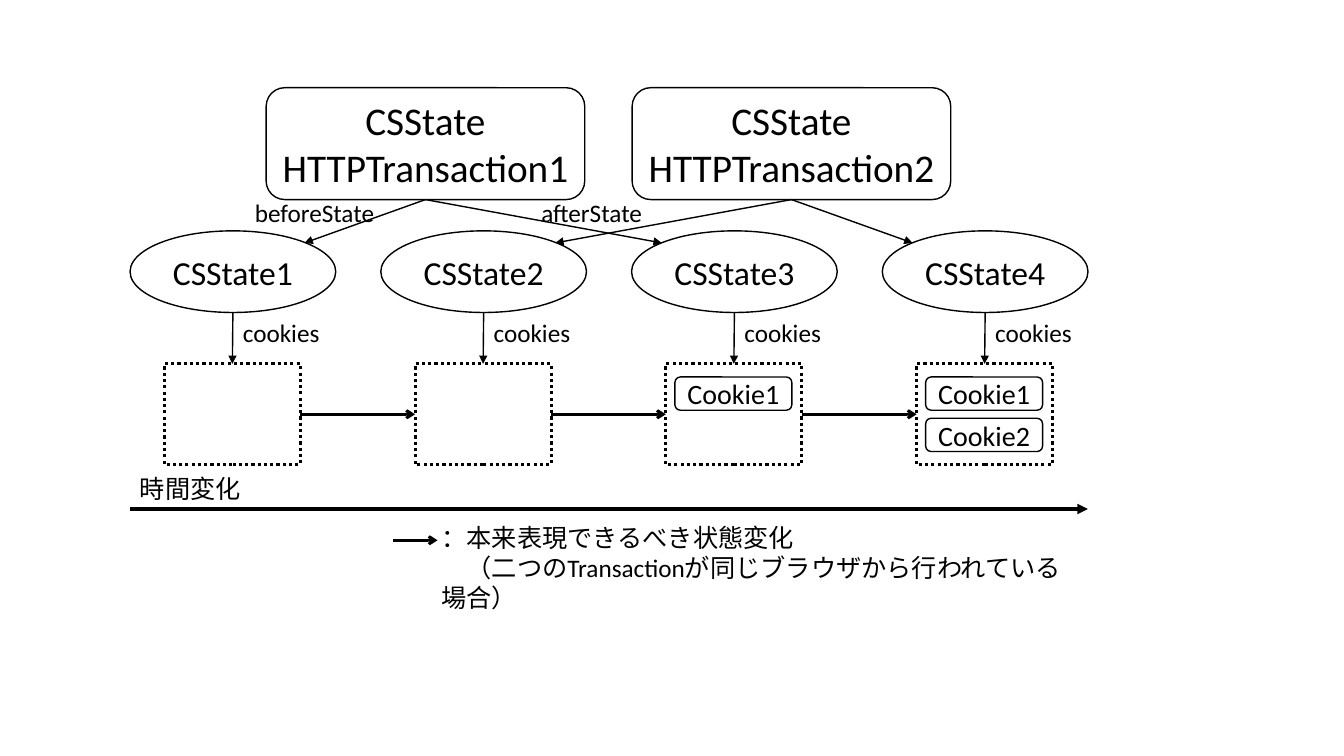
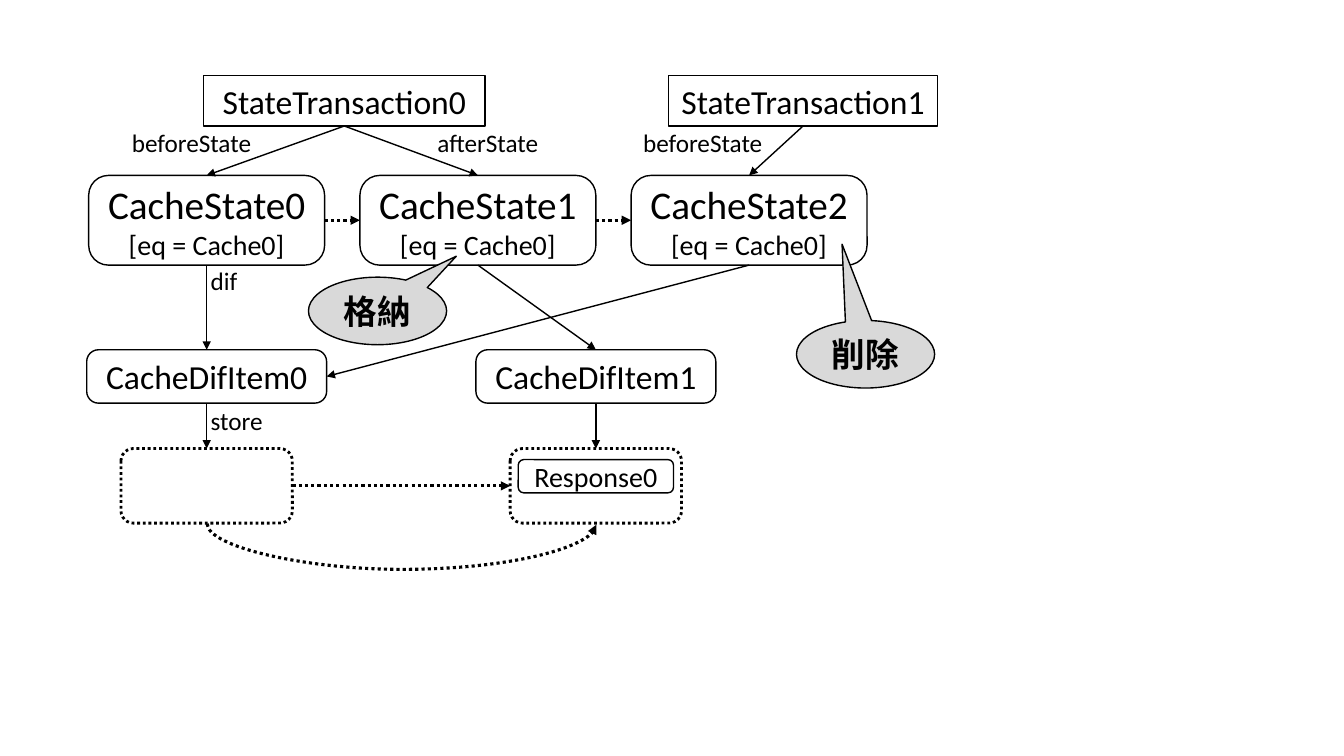
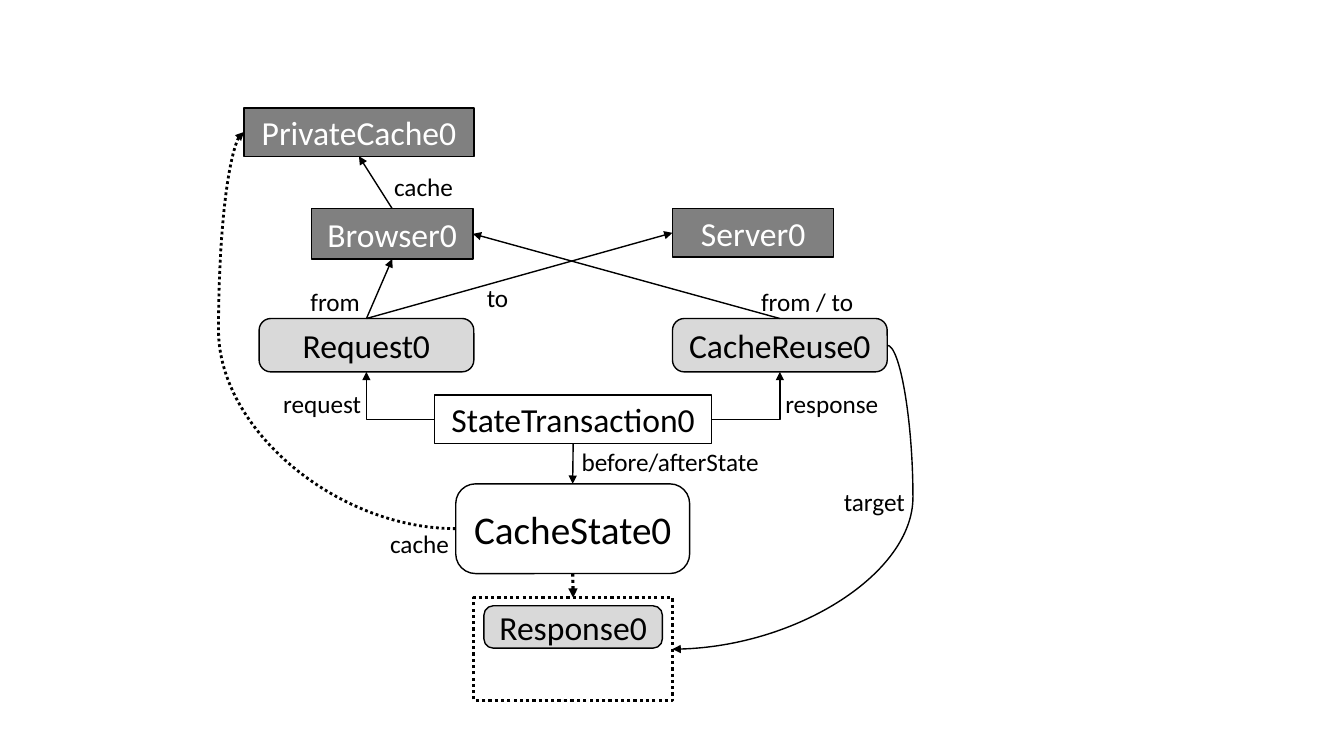
from lxml.etree import SubElement
from pptx import Presentation
from pptx.dml.color import RGBColor as Rgb
from pptx.enum.dml import MSO_LINE as Dash
from pptx.enum.shapes import MSO_CONNECTOR as Path, MSO_SHAPE as Kind
from pptx.enum.text import MSO_ANCHOR as Anchor, MSO_AUTO_SIZE as Auto, PP_ALIGN as Align
from pptx.oxml.ns import qn
from pptx.util import Inches as In, Pt

INK = {"black": "000000", "white": "FFFFFF", "pale": "D9D9D9", "gray": "808080"}
FONT = "Calibri"
RECT, ROUND, OVAL = Kind.RECTANGLE, Kind.ROUNDED_RECTANGLE, Kind.OVAL
TOP, LEFT, FOOT, RIGHT = range(4)
SOFT = [0.22]  # corner of the rounded boxes


def node(sl, box, text="", kind=None, size=18, sub=None, ink="black", fill=None,
         edge="black", line=1, dots=False, adj=(), bold=False, wrap=False):
    """Draw a shape with centred text, or a plain label when no kind is given."""
    spot = [In(v) for v in box]
    if kind is None:
        item = sl.shapes.add_textbox(*spot)
    else:
        item = sl.shapes.add_shape(kind, *spot)
        item.shadow.inherit = False
        for i, val in enumerate(adj):
            item.adjustments[i] = val
        if fill:
            item.fill.solid()
            item.fill.fore_color.rgb = Rgb.from_string(INK[fill])
        else:
            item.fill.background()
        item.line.color.rgb = Rgb.from_string(INK[edge])
        item.line.width = Pt(line)
        if dots:
            item.line.dash_style = Dash.ROUND_DOT
    if text:
        frame = item.text_frame
        frame.word_wrap = wrap or kind is not None
        if kind is None:
            frame.auto_size = Auto.SHAPE_TO_FIT_TEXT
        else:
            frame.vertical_anchor = Anchor.MIDDLE
        for i, part in enumerate(text.split("\n")):
            para = frame.add_paragraph() if i else frame.paragraphs[0]
            para.alignment = Align.CENTER if kind is not None else Align.LEFT
            run = para.add_run()
            run.text = part
            run.font.name, run.font.bold = FONT, bold
            run.font.size = Pt(sub if sub and i else size)
            run.font.color.rgb = Rgb.from_string(INK[ink])
    return item


def link(sl, start, end, kind=Path.STRAIGHT, line=1, dots=False, head="triangle",
         form=None, adj=None):
    """Join two ends, each a point (x, y) or a pair (shape, side)."""
    wire = sl.shapes.add_connector(kind, 0, 0, 0, 0)
    if isinstance(start[0], (int, float)):
        wire.begin_x, wire.begin_y = In(start[0]), In(start[1])
    else:
        wire.begin_connect(*start)
    if isinstance(end[0], (int, float)):
        wire.end_x, wire.end_y = In(end[0]), In(end[1])
    else:
        wire.end_connect(*end)
    wire.line.color.rgb = Rgb.from_string(INK["black"])
    wire.line.width = Pt(line)
    if dots:
        wire.line.dash_style = Dash.ROUND_DOT
    props = wire._element.spPr
    SubElement(props.find(qn("a:ln")), qn("a:tailEnd")).set("type", head)
    SubElement(props, qn("a:effectLst"))
    geom = props.find(qn("a:prstGeom"))
    if form:
        geom.set("prst", form)
    if adj is not None:
        guide = SubElement(geom.find(qn("a:avLst")), qn("a:gd"))
        guide.set("name", "adj1")
        guide.set("fmla", f"val {round(adj * 100000)}")
    return wire


# Deck, with a white panel on each slide
deck = Presentation()
deck.slide_width, deck.slide_height = In(13.33), In(7.5)
panels = [(1.29, 0.87, 9.5, 4.97), (0.86, 0.75, 8.44, 4.93), (2.14, 1.07, 6.95, 5.88)]
pages = []
for panel in panels:
    page = deck.slides.add_slide(deck.slide_layouts[6])
    node(page, panel, kind=RECT, fill="white", edge="white")
    pages.append(page)

# Slide 1: cookies over time
sl = pages[0]
cols = [1.29 + 2.487 * i for i in range(4)]
row, deep, wide = 2.29, 0.81, 2.04

# Transactions, each with the state before and after it
for i, x in enumerate([2.64, 6.27]):
    deal = node(sl, (x, 0.87, 3.16, 1.11), f"CSState\nHTTPTransaction{i + 1}",
                kind=ROUND, size=28)
    link(sl, (deal, FOOT), (cols[i] + (1.73 if i else 1.73), 2.41))
    link(sl, (deal, FOOT), (cols[i + 2] + 0.3, 2.41))
node(sl, (2.43, 1.91, 1.4, 0.4), "beforeState")
node(sl, (5.27, 1.91, 1.22, 0.4), "afterState")

# States and their cookie boxes
jars = []
for i, x in enumerate(cols):
    mid = x + wide / 2
    node(sl, (x, row, wide, deep), f"CSState{i + 1}", kind=OVAL, size=24)
    jar = node(sl, (x + 0.34, 3.61, 1.35, 1), kind=RECT, line=2.25, dots=True)
    link(sl, (mid, row + deep), (jar, TOP))
    node(sl, (mid, 3.1, 0.99, 0.4), "cookies")
    for k in range(max(0, i - 1)):
        node(sl, (x + 0.43, 3.74 + 0.41 * k, 1.16, 0.33), f"Cookie{k + 1}",
             kind=ROUND, size=20)
    jars.append(jar)
for old, new in zip(jars, jars[1:]):
    link(sl, (old, RIGHT), (new, LEFT), line=2, head="arrow")

# Time axis and legend
link(sl, (1.29, 5.05), (10.79, 5.05), line=2.5)
node(sl, (1.29, 4.65, 1.2, 0.4), "時間変化")
link(sl, (3.9, 5.36), (4.34, 5.36), line=2, head="arrow")
key = node(sl, (4.28, 5.13, 6.51, 0.71),
           "：本来表現できるべき状態変化\n（二つのTransactionが同じブラウザから行われている場合）",
           wrap=True)
key.text_frame.paragraphs[1]._p.get_or_add_pPr().set("indent", str(In(0.25)))

# Slide 2: cache states and their differences
sl = pages[1]
deals = [node(sl, (x, 0.75, w, 0.5), f"StateTransaction{i}", kind=RECT, size=24)
         for i, (x, w) in enumerate([(2.02, 2.79), (6.63, 2.67)])]
states = [node(sl, (0.88 + 2.69 * i, 1.74, 2.34, 0.89),
               f"CacheState{i}\n[eq = Cache0]", kind=ROUND, size=28, sub=20, adj=SOFT)
          for i in range(3)]
for deal, state in zip([deals[0], deals[0], deals[1]], states):
    link(sl, (deal, FOOT), (state, TOP))
for old, new in zip(states, states[1:]):
    link(sl, (old, RIGHT), (new, LEFT), line=2.25, dots=True)

# Difference items with their stores
diffs, stores = [], []
for i in range(2):
    x = 0.86 + 3.86 * i
    diff = node(sl, (x, 3.47, 2.38, 0.53), f"CacheDifItem{i}", kind=ROUND,
                size=24, adj=SOFT)
    store = node(sl, (x + 0.34, 4.45, 1.7, 0.74), kind=ROUND, line=2, dots=True)
    link(sl, (states[i], FOOT), (diff, TOP))
    link(sl, (diff, FOOT), (store, TOP))
    diffs.append(diff)
    stores.append(store)
node(sl, (5.14, 4.56, 1.54, 0.33), "Response0", kind=ROUND, size=20)
link(sl, (states[2], FOOT), (diffs[0], RIGHT))
link(sl, (stores[0], RIGHT), (stores[1], LEFT), line=2.25, dots=True)

# Return curve: a quarter turn makes it leave and arrive from below
back = link(sl, (stores[1], FOOT), (stores[0], FOOT), kind=Path.CURVE,
            line=2.25, dots=True, adj=46)
back.left, back.top, back.width, back.height = [In(v) for v in (3.98, 3.27, 0.01, 3.86)]
turn = back._element.spPr.find(qn("a:xfrm"))
turn.attrib.pop("flipH", None)
turn.set("rot", str(90 * 60000))

# Labels and callouts
for x, y, w, text in [(1.21, 1.21, 1.4, "beforeState"), (4.24, 1.21, 1.22, "afterState"),
                      (6.28, 1.21, 1.4, "beforeState"), (1.99, 2.58, 0.47, "dif"),
                      (1.99, 3.97, 0.72, "store")]:
    node(sl, (x, y, w, 0.4), text)
for x, y, text, tip in [(3.06, 2.75, "格納", (0.57, -0.81)),
                        (7.9, 3.18, "削除", (-0.17, -1.63))]:
    node(sl, (x, y, 1.37, 0.67), text, kind=Kind.OVAL_CALLOUT, size=24, bold=True,
         fill="pale", adj=tip)

# Slide 3: one transaction and its parts
sl = pages[2]
dark = dict(kind=RECT, size=24, ink="white", fill="gray")
light = dict(kind=ROUND, size=24, fill="pale", adj=SOFT)
server = node(sl, (6.67, 2.07, 1.6, 0.48), "Server0", **dark)
cache = node(sl, (2.42, 1.07, 2.28, 0.48), "PrivateCache0", **dark)
client = node(sl, (3.09, 2.07, 1.6, 0.5), "Browser0", **dark)
ask = node(sl, (2.57, 3.16, 2.13, 0.53), "Request0", **light)
reuse = node(sl, (6.67, 3.16, 2.13, 0.53), "CacheReuse0", **light)
deal = node(sl, (4.31, 3.92, 2.75, 0.48), "StateTransaction0", kind=RECT, size=24)
state = node(sl, (4.52, 4.8, 2.32, 0.89), "CacheState0", kind=ROUND, size=28, adj=SOFT)
store = node(sl, (4.7, 5.93, 1.97, 1.02), kind=RECT, line=2.25, dots=True)
node(sl, (4.8, 6.01, 1.77, 0.42), "Response0", **light)

# Straight, bent and curved links
for start, end in [((deal, FOOT), (state, TOP)), ((ask, TOP), (server, LEFT)),
                   ((ask, TOP), (client, FOOT)), ((reuse, TOP), (client, RIGHT)),
                   ((client, TOP), (cache, FOOT))]:
    link(sl, start, end)
link(sl, (state, FOOT), (store, TOP), line=2.25, dots=True)
for side, goal in [(LEFT, ask), (RIGHT, reuse)]:
    link(sl, (deal, side), (goal, FOOT), kind=Path.ELBOW, form="bentConnector2")
link(sl, (state, LEFT), (cache, LEFT), kind=Path.CURVE, line=2, dots=True, adj=1.12)
link(sl, (reuse, RIGHT), (store, RIGHT), kind=Path.CURVE, adj=-0.12)

# Labels
for x, y, w, text in [(5.67, 4.38, 1.98, "before/afterState"), (3.77, 5.19, 0.79, "cache"),
                      (3.81, 1.65, 0.79, "cache"), (2.98, 2.79, 0.7, "from"),
                      (7.45, 2.79, 1.13, "from / to"), (4.73, 2.75, 0.42, "to"),
                      (8.27, 4.78, 0.81, "target"), (2.71, 3.8, 0.98, "request"),
                      (7.69, 3.8, 1.13, "response")]:
    node(sl, (x, y, w, 0.4), text)

deck.save("out.pptx")
